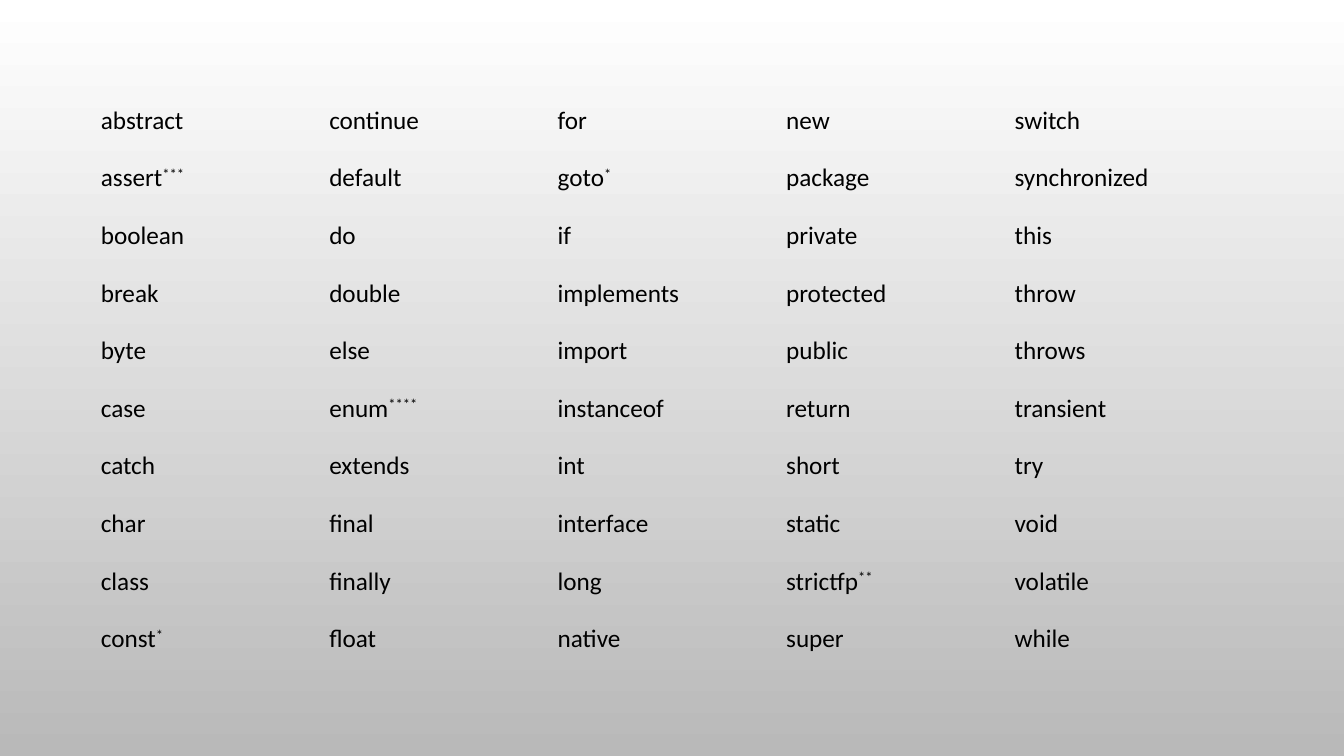
from pptx import Presentation
from pptx.dml.color import RGBColor
from pptx.enum.text import MSO_ANCHOR
from pptx.oxml.ns import qn
from pptx.util import Inches, Pt

MIDDLE = MSO_ANCHOR.MIDDLE
NO_STYLE_NO_GRID = "{2D5ABB26-0587-4C30-8999-92F81FD0307C}"
COLORS = {"top": "FFFFFF", "bottom": "B9B9B9", "text": "000000"}
KEYWORD_COLUMNS = [
    "abstract assert*** boolean break byte case catch char class const*",
    "continue default do double else enum**** extends final finally float",
    "for goto* if implements import instanceof int interface long native",
    "new package private protected public return short static strictfp** super",
    "switch synchronized this throw throws transient try void volatile while",
]
columns = [words.split() for words in KEYWORD_COLUMNS]

deck = Presentation()
deck.slide_width = Inches(13.33)
deck.slide_height = Inches(7.5)
page = deck.slides.add_slide(deck.slide_layouts[6])

background = page.background.fill
background.gradient()
background.gradient_angle = 270  # counter-clockwise, so the gradient runs downwards
for stop, name in zip(background.gradient_stops, ("top", "bottom")):
    stop.color.rgb = RGBColor.from_string(COLORS[name])

frame = page.shapes.add_table(
    len(columns[0]), len(columns), Inches(1), Inches(0.91), Inches(11.33), Inches(5.72)
)
frame.element.find(".//" + qn("a:tableStyleId")).text = NO_STYLE_NO_GRID
keyword_table = frame.table
keyword_table.first_row = False
keyword_table.horz_banding = False

for column_index, keywords in enumerate(columns):
    for row_index, keyword in enumerate(keywords):
        cell = keyword_table.cell(row_index, column_index)
        cell.fill.background()
        cell.vertical_anchor = MIDDLE
        cell.margin_left = cell.margin_right = 0
        cell.margin_top = cell.margin_bottom = 0

        para = cell.text_frame.paragraphs[0]
        para.font.name = "Calibri"
        para.font.size = Pt(18)
        para.font.color.rgb = RGBColor.from_string(COLORS["text"])

        word = keyword.rstrip("*")
        para.add_run().text = word
        stars = keyword[len(word):]
        if stars:
            span = para.add_run()
            span.text = stars
            span.font.element.set("baseline", "30000") if hasattr(
                span.font, "element"
            ) else span.font.fill and para.runs[-1]._r.get_or_add_rPr().set("baseline", "30000")

deck.save("out.pptx")
